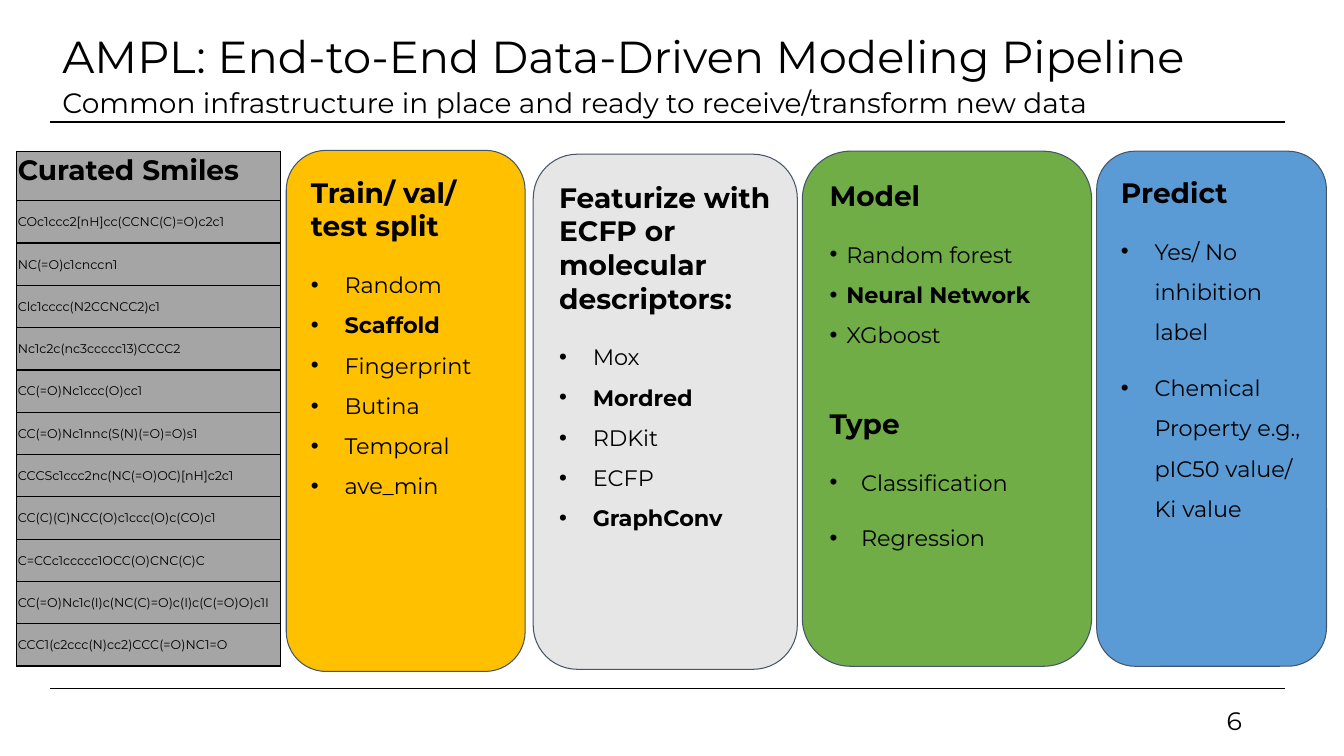
from dataclasses import dataclass

from lxml.etree import SubElement
from pptx import Presentation
from pptx.dml.color import RGBColor
from pptx.enum.shapes import MSO_CONNECTOR, MSO_SHAPE
from pptx.enum.text import MSO_ANCHOR, PP_ALIGN
from pptx.oxml.ns import qn
from pptx.util import Inches, Pt

BLACK = RGBColor(0x00, 0x00, 0x00)
SLATE = RGBColor(0x44, 0x54, 0x6A)
GREY = RGBColor(0xA5, 0xA5, 0xA5)
GOLD = RGBColor(0xFF, 0xC0, 0x00)
PALE = RGBColor(0xE7, 0xE6, 0xE6)
GREEN = RGBColor(0x70, 0xAD, 0x47)
BLUE = RGBColor(0x5B, 0x9B, 0xD5)
FONT = "Montserrat"

deck = Presentation()
deck.slide_width, deck.slide_height = Inches(13.33), Inches(7.5)
slide = deck.slides.add_slide(deck.slide_layouts[6])

# Grid of 160 columns by 90 rows
COL = deck.slide_width / 160
ROW = deck.slide_height / 90


def across(cols: float) -> int:
    return round(cols * COL)


def down(rows: float) -> int:
    return round(rows * ROW)


@dataclass
class Line:
    text: str
    bold: bool = False
    size: int = 16
    indent: float = 4  # columns; 0 means no bullet
    before: int = 0
    pitch: float = 1.5


@dataclass
class Card:
    left: float
    top: float
    width: float
    height: float
    fill: RGBColor
    lines: list[Line]


@dataclass
class Label:
    text: str
    left: float
    top: float
    width: float
    height: float
    size: int
    anchor: MSO_ANCHOR = MSO_ANCHOR.MIDDLE
    align: PP_ALIGN = PP_ALIGN.LEFT
    pitch: float = 0.9


def head(text: str) -> Line:
    return Line(text, True, 20, 0, 0, 1.0)


def style(para, size: int, bold: bool = False) -> None:
    for run in para.runs:
        run.font.name = FONT
        run.font.size = Pt(size)
        run.font.bold = bold
        run.font.color.rgb = BLACK


def bullet(para, indent: float) -> None:
    props = para._p.get_or_add_pPr()
    props.set("marL", str(across(indent)))
    props.set("indent", str(-across(indent)))
    SubElement(props, qn("a:buFont")).set("typeface", "Arial")
    SubElement(props, qn("a:buChar")).set("char", "•")


def draw_rule(row: float, weight: float) -> None:
    rule = slide.shapes.add_connector(
        MSO_CONNECTOR.STRAIGHT, across(6), down(row), across(153), down(row))
    rule.line.color.rgb = BLACK
    rule.line.width = Pt(weight)
    SubElement(rule._element.spPr, qn("a:effectLst"))


def draw_label(label: Label) -> None:
    box = slide.shapes.add_textbox(across(label.left), down(label.top),
                                   across(label.width), down(label.height))
    frame = box.text_frame
    frame.word_wrap = True
    frame.vertical_anchor = label.anchor
    frame.text = label.text
    para = frame.paragraphs[0]
    para.alignment = label.align
    para.line_spacing = label.pitch
    style(para, label.size)


def draw_card(card: Card) -> None:
    shape = slide.shapes.add_shape(
        MSO_SHAPE.ROUNDED_RECTANGLE, across(card.left), down(card.top),
        across(card.width), down(card.height))
    shape.shadow.inherit = False
    shape.fill.solid()
    shape.fill.fore_color.rgb = card.fill
    shape.line.color.rgb = SLATE
    shape.line.width = Pt(0.75)
    frame = shape.text_frame
    frame.word_wrap = True
    frame.vertical_anchor = MSO_ANCHOR.TOP
    frame.margin_left = frame.margin_right = across(1.56)
    frame.margin_top = frame.margin_bottom = down(1.56)
    frame.text = "\n".join(line.text for line in card.lines)
    for para, line in zip(frame.paragraphs, card.lines):
        para.alignment = PP_ALIGN.LEFT
        para.line_spacing = line.pitch
        para.space_before = Pt(line.before)
        if line.indent:
            bullet(para, line.indent)
        style(para, line.size, line.bold)


def draw_table(rows: list[str]) -> None:
    frame = slide.shapes.add_table(len(rows), 1, across(2), down(18),
                                   across(31.44), down(61))
    table = frame.table
    table.first_row = table.horz_banding = False
    table.columns[0].width = across(31.44)
    for i, text in enumerate(rows):
        table.rows[i].height = down(5.04 if i else 5.9)
        cell = table.cell(i, 0)
        cell.text = text
        cell.vertical_anchor = MSO_ANCHOR.BOTTOM
        cell.margin_left = cell.margin_right = cell.margin_top = Inches(0.01)
        cell.margin_bottom = Inches(0.13)
        style(cell.text_frame.paragraphs[0], 9 if i else 20, i == 0)
        props = cell._tc.get_or_add_tcPr()
        for side in ("lnL", "lnR", "lnT", "lnB"):
            edge = SubElement(props, qn(f"a:{side}"))
            edge.set("w", str(Pt(1)))
            paint = SubElement(edge, qn("a:solidFill"))
            SubElement(paint, qn("a:srgbClr")).set("val", str(BLACK))
        cell.fill.solid()
        cell.fill.fore_color.rgb = GREY


SMILES = [
    "Curated Smiles",
    "COc1ccc2[nH]cc(CCNC(C)=O)c2c1",
    "NC(=O)c1cnccn1",
    "Clc1cccc(N2CCNCC2)c1",
    "Nc1c2c(nc3ccccc13)CCCC2",
    "CC(=O)Nc1ccc(O)cc1",
    "CC(=O)Nc1nnc(S(N)(=O)=O)s1",
    "CCCSc1ccc2nc(NC(=O)OC)[nH]c2c1",
    "CC(C)(C)NCC(O)c1ccc(O)c(CO)c1",
    "C=CCc1ccccc1OCC(O)CNC(C)C",
    "CC(=O)Nc1c(I)c(NC(C)=O)c(I)c(C(=O)O)c1I",
    "CCC1(c2ccc(N)cc2)CCC(=O)NC1=O",
]

CARDS = [
    Card(34.08, 17.9, 28.44, 62.04, GOLD, [
        head("Train/ val/ test split"), Line("Random", before=11),
        Line("Scaffold", True), Line("Fingerprint"), Line("Butina"),
        Line("Temporal"), Line("ave_min")]),
    Card(63.48, 18.36, 31.44, 61.32, PALE, [
        head("Featurize with ECFP or molecular descriptors:"),
        Line("Mox", before=11), Line("Mordred", True), Line("RDKit"),
        Line("ECFP"), Line("GraphConv", True)]),
    Card(95.52, 18, 34.44, 61.32, GREEN, [
        head("Model"), Line("Random forest", indent=2, before=11),
        Line("Neural Network", True, indent=2), Line("XGboost", indent=2),
        Line("Type", True, 20, 0, 44, 0.9),
        Line("Classification", indent=3.75, before=11),
        Line("Regression", indent=3.75, before=11)]),
    Card(130.56, 18, 27.36, 61.32, BLUE, [
        head("Predict"), Line("Yes/ No inhibition label", before=11),
        Line("Chemical Property e.g., pIC50 value/ Ki value", before=11)]),
]

LABELS = [
    Label("AMPL: End-to-End Data-Driven Modeling Pipeline",
          6.24, 3.36, 138, 7.32, 32),
    Label("Common infrastructure in place and ready to receive/transform"
          " new data", 6.24, 10.08, 138, 4.68, 20, MSO_ANCHOR.TOP),
    Label("6", 113.04, 83.4, 36, 4.8, 18, align=PP_ALIGN.RIGHT, pitch=1.0),
]

# Rules under the title and above the page number
draw_rule(82, 0.75)
draw_rule(14.5, 1.5)

# Input molecules, then the pipeline steps
draw_table(SMILES)
for card in CARDS:
    draw_card(card)

# Title, subtitle and page number
for label in LABELS:
    draw_label(label)

deck.save("out.pptx")
